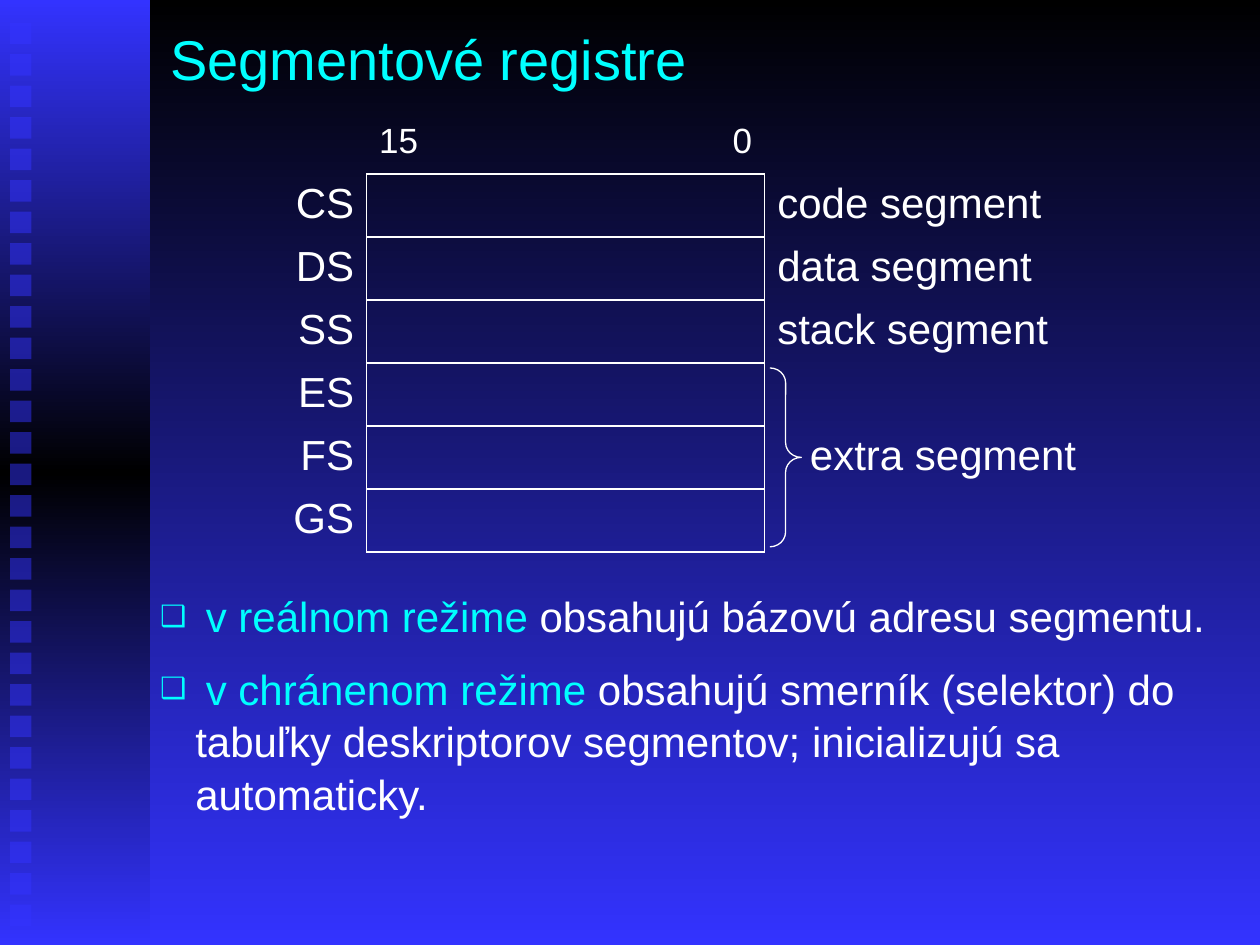
from pptx import Presentation
from pptx.dml.color import RGBColor
from pptx.enum.shapes import MSO_SHAPE as Shape
from pptx.enum.text import MSO_ANCHOR as Anchor, MSO_AUTO_SIZE as AutoSize, PP_ALIGN as Align
from pptx.oxml.ns import qn
from pptx.util import Inches, Pt
from lxml.etree import SubElement
from copy import deepcopy

COLOURS = {"white": "FFFFFF", "cyan": "00FFFF", "blue": "3333FF", "black": "000000"}

TITLE = "Segmentové registre"
HIGH_BIT, LOW_BIT = "15", "0"
REGISTERS = [
    ("CS", "code segment", Align.LEFT),
    ("DS", "data segment", Align.LEFT),
    ("SS", "stack segment", Align.LEFT),
    ("ES", "", Align.LEFT),
    ("FS", "extra segment", Align.CENTER),
    ("GS", "", Align.LEFT),
]
MODES = [
    ("v reálnom režime ", "obsahujú bázovú adresu segmentu."),
    ("v chránenom režime ", "obsahujú smerník (selektor) do tabuľky deskriptorov "
                            "segmentov; inicializujú sa automaticky."),
]
COLUMN_WIDTHS = [1.3, 1.1, 0.88, 0.47, 0.71, 2.83]
HEADER_HEIGHT, ROW_HEIGHT = 0.46, 0.5
FIRST_BIT, LAST_BIT = 1, 4  # columns spanned by a register
SQUARE_COUNT, SQUARE_PITCH, SQUARE_SIZE = 29, 0.25, 0.17
NO_TABLE_STYLE = "{2D5ABB26-0587-4C30-8999-92F81FD0307C}"


def rgb(name):
    return RGBColor.from_string(COLOURS[name])


def write(paragraph, text, size=24, colour="white", font="Arial", align=Align.LEFT):
    paragraph.alignment = align
    run = paragraph.add_run()
    run.text = text
    run.font.size, run.font.name = Pt(size), font
    run.font.color.rgb = rgb(colour)


def place(shape, left, top, width, height):
    shape.left, shape.top = Inches(left), Inches(top)
    shape.width, shape.height = Inches(width), Inches(height)


def shade(fill, owner, names):
    """Vertical gradient with evenly spaced colours."""
    fill.gradient()
    fill.gradient_angle = 270
    stop_list = next(owner.iter(qn("a:gsLst")))
    for _ in names[2:]:
        stop_list.append(deepcopy(stop_list[0]))
    for i, (stop, name) in enumerate(zip(fill.gradient_stops, names)):
        stop.color.rgb = rgb(name)
        stop.position = i / (len(names) - 1)


def add_block(left, top, width, height, kind=Shape.RECTANGLE):
    block = slide.shapes.add_shape(kind, *map(Inches, (left, top, width, height)))
    block.shadow.inherit = False
    block.line.fill.background()
    return block


def set_borders(cell, sides):
    properties = cell._tc.get_or_add_tcPr()
    for side in "LRTB":
        line = SubElement(properties, qn("a:ln" + side), w=str(Pt(1)))
        if side in sides:
            solid = SubElement(line, qn("a:solidFill"))
            SubElement(solid, qn("a:srgbClr"), val=COLOURS["white"])
        else:
            SubElement(line, qn("a:noFill"))
    cell.fill.background()


def add_bullet(paragraph):
    properties = paragraph._p.get_or_add_pPr()
    properties.set("marL", str(Inches(0.28)))
    properties.set("indent", str(-Inches(0.28)))
    colour = SubElement(properties, qn("a:buClr"))
    SubElement(colour, qn("a:srgbClr"), val=COLOURS["cyan"])
    SubElement(properties, qn("a:buSzPct"), val="70000")
    SubElement(properties, qn("a:buChar"), char="❑")


prs = Presentation()
prs.slide_width, prs.slide_height = Inches(10), Inches(7.5)
slide = prs.slides.add_slide(prs.slide_layouts[1])
title, modes = slide.placeholders

# Background and side strip
shade(slide.background.fill, slide.element, ["black", "blue"])
strip = add_block(0, 0, 1.19, 7.5)
shade(strip.fill, strip.element, ["blue", "black", "blue"])
for i in range(SQUARE_COUNT):
    square = add_block(0.08, 0.18 + i * SQUARE_PITCH, SQUARE_SIZE, SQUARE_SIZE)
    square.fill.solid()
    square.fill.fore_color.rgb = rgb("blue")
    SubElement(next(square.element.iter(qn("a:srgbClr"))), qn("a:alpha"), val="50000")

# Title
place(title, 1.25, 0, 8.5, 0.92)
title.text_frame.auto_size = AutoSize.NONE
title.text_frame.vertical_anchor = Anchor.MIDDLE
write(title.text_frame.paragraphs[0], TITLE, size=32, colour="cyan")

# Register table
frame = slide.shapes.add_table(
    len(REGISTERS) + 1, len(COLUMN_WIDTHS), Inches(1.61), Inches(0.92),
    Inches(sum(COLUMN_WIDTHS)), Inches(HEADER_HEIGHT + ROW_HEIGHT * len(REGISTERS)))
table = frame.table
table.first_row = table.horz_banding = False
next(frame._element.iter(qn("a:tableStyleId"))).text = NO_TABLE_STYLE
for column, width in zip(table.columns, COLUMN_WIDTHS):
    column.width = Inches(width)
for r, row in enumerate(table.rows):
    row.height = Inches(ROW_HEIGHT if r else HEADER_HEIGHT)
    for c, cell in enumerate(row.cells):
        if FIRST_BIT <= c <= LAST_BIT:
            sides = "B" if r == 0 else "TB" + "L" * (c == FIRST_BIT) + "R" * (c == LAST_BIT)
        else:
            sides = "" if r == 0 else "R" if c < FIRST_BIT else "L"
        set_borders(cell, sides)


def fill_cell(r, c, text, **style):
    if text:
        write(table.cell(r, c).text_frame.paragraphs[0], text, **style)


fill_cell(0, FIRST_BIT, HIGH_BIT, size=20)
fill_cell(0, LAST_BIT, LOW_BIT, size=20, align=Align.RIGHT)
for r, (register, meaning, align) in enumerate(REGISTERS, 1):
    table.cell(r, FIRST_BIT).merge(table.cell(r, LAST_BIT))
    fill_cell(r, 0, register, align=Align.RIGHT)
    fill_cell(r, LAST_BIT + 1, meaning, align=align)

# Brace joining the extra segments
brace = add_block(6.11, 2.92, 0.25, 1.42, Shape.RIGHT_BRACE)
brace.adjustments[0], brace.adjustments[1] = 0.47, 0.5
brace.fill.background()
brace.line.color.rgb = rgb("white")
brace.line.width = Pt(0.75)

# Register use in each mode
place(modes, 1.17, 4.62, 8.83, 1.86)
modes.text_frame.auto_size = AutoSize.NONE
for i, (mode, use) in enumerate(MODES):
    item = modes.text_frame.add_paragraph() if i else modes.text_frame.paragraphs[0]
    add_bullet(item)
    item.line_spacing = 1.05
    item.space_before = Pt(11 if i else 0)
    write(item, " ", font="Times New Roman")
    write(item, mode, colour="cyan")
    write(item, use)

prs.save("out.pptx")
